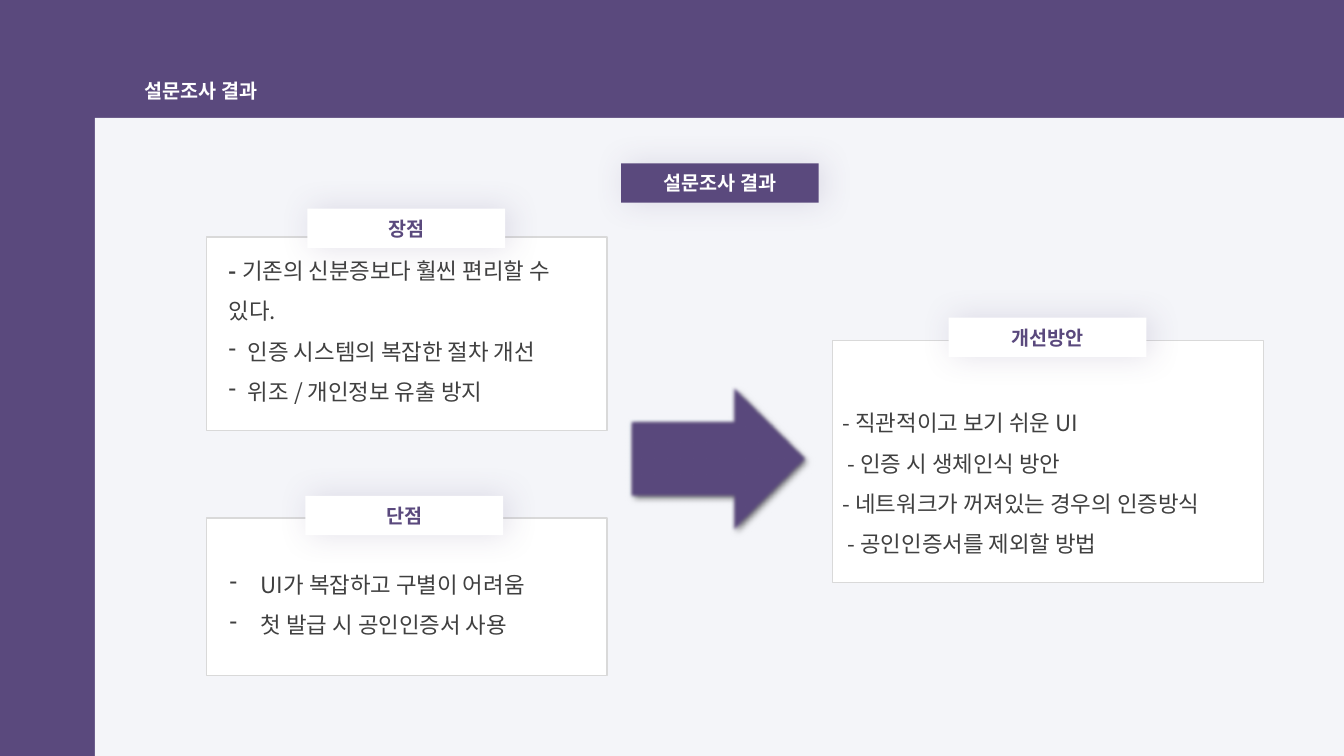
from lxml import etree
from pptx import Presentation
from pptx.dml.color import RGBColor
from pptx.enum import shapes, text
from pptx.oxml import ns
from pptx.util import Inches, Pt

FONT = "Noto Sans CJK KR"
PURPLE = RGBColor(0x5A, 0x49, 0x7D)
PALE = RGBColor(0xF4, 0xF5, 0xF9)
WHITE = RGBColor(0xFF, 0xFF, 0xFF)
GREY = RGBColor(0x40, 0x40, 0x40)
BORDER = RGBColor(0xD9, 0xD9, 0xD9)
BLUE = RGBColor(0x43, 0x73, 0x9E)
BLACK = RGBColor(0, 0, 0)


def add_child(parent, tag, **attributes):
    values = {name: str(value) for name, value in attributes.items()}
    return etree.SubElement(parent, ns.qn(tag), values)


def add_shadow(shape, color, alpha, blur, distance, angle):
    effects = shape._element.spPr.find(ns.qn("a:effectLst"))
    shadow = add_child(effects, "a:outerShdw", blurRad=Pt(blur), dist=Pt(distance),
                       dir=angle * 60000, algn="ctr", rotWithShape=0)
    tint = add_child(shadow, "a:srgbClr", val=color)
    add_child(tint, "a:alpha", val=alpha * 1000)
    return effects


def add_block(slide, box, fill, line=None, kind=shapes.MSO_SHAPE.RECTANGLE):
    shape = slide.shapes.add_shape(kind, *map(Inches, box))
    shape.shadow.inherit = False
    shape.fill.solid()
    shape.fill.fore_color.rgb = fill
    if line is None:
        shape.line.fill.background()
    else:
        shape.line.color.rgb = line
        shape.line.width = Pt(1)
    return shape


def write(paragraph, words, size=16, color=GREY, bold=False, align=None, spacing=None):
    if align is not None:
        paragraph.alignment = align
    if spacing is not None:
        paragraph.line_spacing = spacing
    run = paragraph.add_run()
    run.text = words
    run.font.size = Pt(size)
    run.font.bold = bold
    run.font.color.rgb = color
    run.font.name = FONT
    add_child(run._r.get_or_add_rPr(), "a:ea", typeface=FONT)


def add_bullet(paragraph, indent):
    properties = paragraph._p.get_or_add_pPr()
    properties.set("marL", str(Inches(indent)))
    properties.set("indent", str(-Inches(indent)))
    add_child(properties, "a:buFontTx")
    add_child(properties, "a:buChar", char="-")


def add_text_frame(slide, box, wrap=True):
    frame = slide.shapes.add_textbox(*map(Inches, box)).text_frame
    frame.word_wrap = wrap
    frame.auto_size = text.MSO_AUTO_SIZE.SHAPE_TO_FIT_TEXT
    return frame


def add_lines(frame, lines, indent=None):
    for words in lines:
        first = frame.paragraphs[0]
        paragraph = frame.add_paragraph() if first.runs else first
        write(paragraph, words, spacing=1.5)
        if indent is not None:
            add_bullet(paragraph, indent)


def add_label(slide, left, top, words, fill=WHITE, color=PURPLE):
    shape = add_block(slide, (left, top, 1.96, 0.39), fill)
    add_shadow(shape, PURPLE, alpha=17, blur=23, distance=3, angle=0)
    shape.text_frame.vertical_anchor = text.MSO_ANCHOR.MIDDLE
    write(shape.text_frame.paragraphs[0], words, size=14, color=color, bold=True,
          align=text.PP_ALIGN.CENTER)


def add_arrow(slide, box):
    arrow = add_block(slide, box, PURPLE, BLUE, shapes.MSO_SHAPE.RIGHT_ARROW)
    effects = add_shadow(arrow, BLACK, alpha=50, blur=4, distance=3, angle=45)
    add_child(effects, "a:softEdge", rad=Pt(2.5))


def main():
    presentation = Presentation()
    presentation.slide_width = Inches(13.33)
    presentation.slide_height = Inches(7.5)
    slide = presentation.slides.add_slide(presentation.slide_layouts[6])
    slide.background.fill.solid()
    slide.background.fill.fore_color.rgb = PURPLE

    add_block(slide, (0.94, 1.17, 12.39, 6.33), PALE)
    title = add_text_frame(slide, (1.27, 0.62, 1.45, 0.41), wrap=False)
    write(title.paragraphs[0], "설문조사 결과", size=14, color=WHITE, bold=True,
          align=text.PP_ALIGN.CENTER, spacing=1.5)
    add_label(slide, 6.16, 1.62, "설문조사 결과", fill=PURPLE, color=WHITE)

    for card in ((2.05, 2.35, 3.97, 1.92), (2.05, 5.14, 3.97, 1.56), (8.26, 3.38, 4.27, 2.4)):
        add_block(slide, card, WHITE, BORDER)

    strengths = add_text_frame(slide, (2.17, 2.37, 3.68, 1.71))
    write(strengths.paragraphs[0], "- ", bold=True, spacing=1.5)
    write(strengths.paragraphs[0], "기존의 신분증보다 훨씬 편리할 수 있다.")
    add_lines(strengths, ("인증 시스템의 복잡한 절차 개선", "위조 / 개인정보 유출 방지"), indent=0.19)

    weaknesses = add_text_frame(slide, (2.18, 5.48, 3.84, 0.86))
    add_lines(weaknesses, ("UI가 복잡하고 구별이 어려움", "첫 발급 시 공인인증서 사용"), indent=0.31)

    improvements = add_text_frame(slide, (8.26, 3.88, 4.27, 1.66))
    add_lines(improvements, ("- 직관적이고 보기 쉬운 UI", " - 인증 시 생체인식 방안",
                             "- 네트워크가 꺼져있는 경우의 인증방식", " - 공인인증서를 제외할 방법"))

    add_label(slide, 3.05, 2.07, "장점")
    add_label(slide, 3.03, 4.92, "단점")
    add_label(slide, 9.41, 3.15, "개선방안")
    add_arrow(slide, (6.24, 3.77, 1.79, 1.56))
    presentation.save("out.pptx")


if __name__ == "__main__":
    main()
